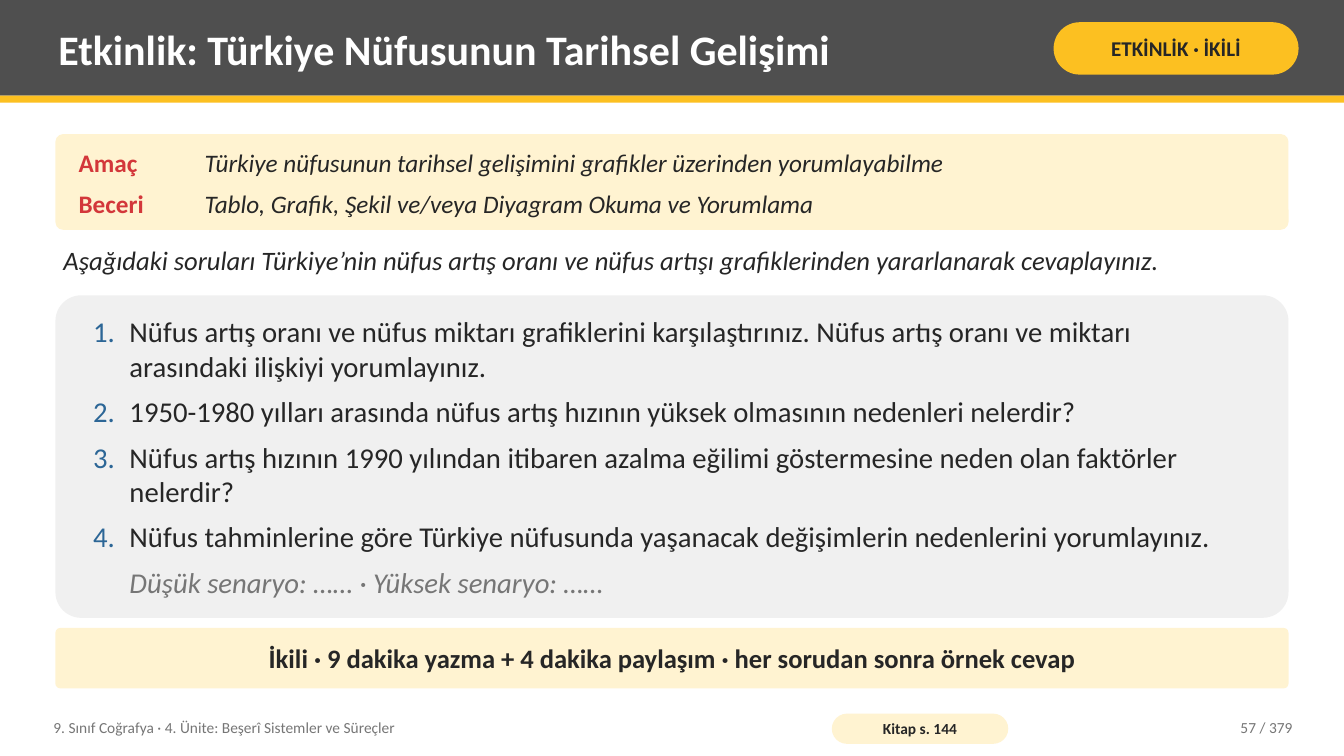
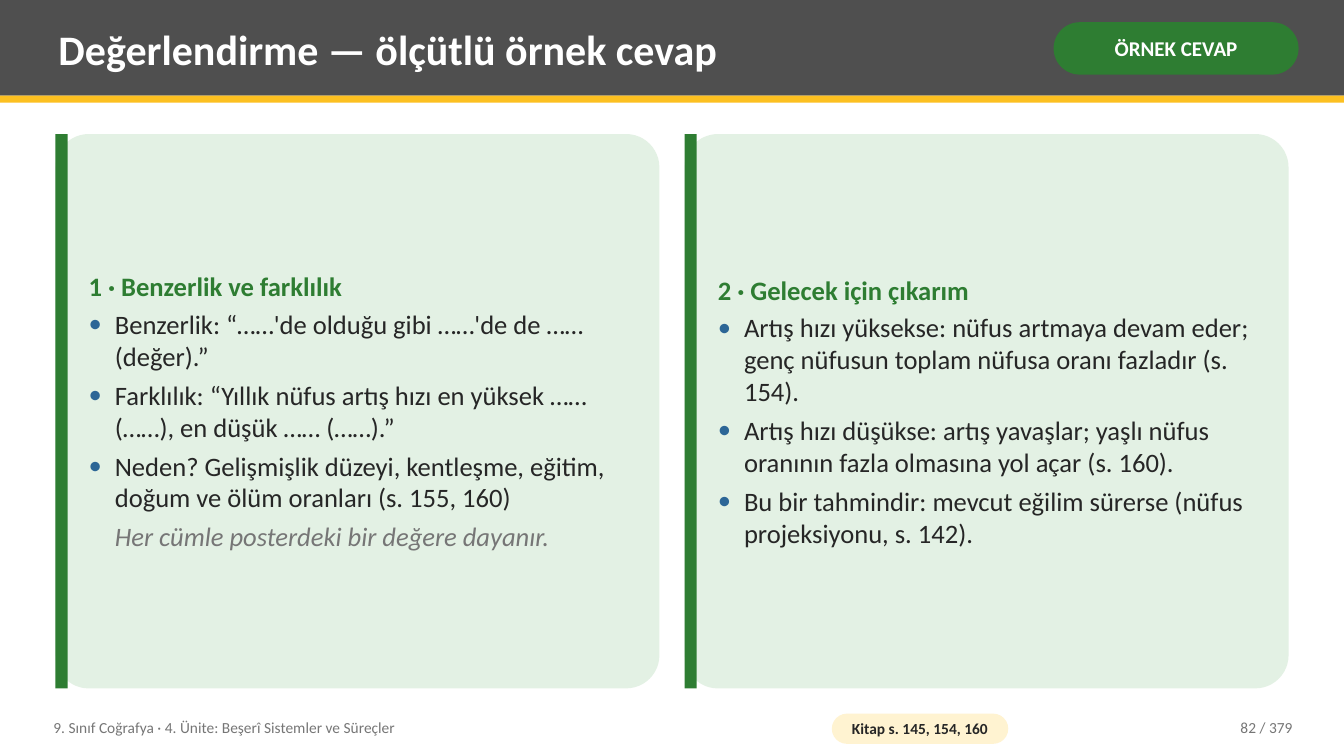
from lxml import etree
from pptx import Presentation
from pptx.dml.color import RGBColor
from pptx.enum.shapes import MSO_SHAPE
from pptx.enum.text import MSO_ANCHOR, PP_ALIGN
from pptx.oxml.ns import qn
from pptx.util import Emu, Pt

RECT = MSO_SHAPE.RECTANGLE
ROUNDED = MSO_SHAPE.ROUNDED_RECTANGLE
MIDDLE = MSO_ANCHOR.MIDDLE
LEFT, CENTER, RIGHT = PP_ALIGN.LEFT, PP_ALIGN.CENTER, PP_ALIGN.RIGHT

EMU_PER_PX = 9144
WIDTH, HEIGHT = 1333, 750
MARGIN = 55
CONTENT_WIDTH = WIDTH - 2 * MARGIN
CONTENT_TOP = 133
CONTENT_BOTTOM = 683
FONT = "Calibri"
COLORS = {
    "header": "4F4F4F",
    "accent": "FCC021",
    "cream": "FFF3D1",
    "panel": "F0F0F0",
    "mint": "E3F1E4",
    "green": "2E7D32",
    "red": "D3373A",
    "blue": "2C6696",
    "ink": "262626",
    "muted": "767676",
    "white": "FFFFFF",
}
TEXT_INSETS = (8, 4, 8, 4)
COURSE = "9. Sınıf Coğrafya · 4. Ünite: Beşerî Sistemler ve Süreçler"
PAGE_COUNT = 379


def px(length):
    return Emu(length * EMU_PER_PX)


def rgb(color):
    return RGBColor.from_string(COLORS[color])


class Deck:
    def __init__(self):
        self.presentation = Presentation()
        self.presentation.slide_width = px(WIDTH)
        self.presentation.slide_height = px(HEIGHT)
        self.slide = None

    def shape(self, area, fill, radius=None):
        kind = RECT if radius is None else ROUNDED
        shape = self.slide.shapes.add_shape(kind, *map(px, area))
        shape.shadow.inherit = False
        shape.fill.solid()
        shape.fill.fore_color.rgb = rgb(fill)
        shape.line.fill.background()
        if radius is not None:
            shape.adjustments[0] = radius
        return shape

    def frame(self, shape, insets):
        frame = shape.text_frame
        left, top, right, bottom = map(px, insets)
        settings = {
            "word_wrap": True,
            "vertical_anchor": MIDDLE,
            "margin_left": left,
            "margin_top": top,
            "margin_right": right,
            "margin_bottom": bottom,
        }
        for name, value in settings.items():
            setattr(frame, name, value)
        return frame

    def text_frame(self, area):
        box = self.slide.shapes.add_textbox(*map(px, area))
        return self.frame(box, TEXT_INSETS)

    def style(self, font, size, color, bold=False, italic=False):
        settings = {"name": FONT, "size": Pt(size), "bold": bold, "italic": italic}
        for name, value in settings.items():
            setattr(font, name, value)
        font.color.rgb = rgb(color)

    def wording(self, paragraph, words, size, color, align=LEFT, **emphasis):
        paragraph.alignment = align
        run = paragraph.add_run()
        run.text = words
        self.style(run.font, size, color, **emphasis)

    def text(self, area, words, size, color, **options):
        frame = self.text_frame(area)
        self.wording(frame.paragraphs[0], words, size, color, **options)

    def label(self, area, fill, words, size, color="ink", radius=0.5, insets=(4, 0, 4, 0)):
        frame = self.frame(self.shape(area, fill, radius), insets)
        self.wording(frame.paragraphs[0], words, size, color, align=CENTER, bold=True)

    def indent(self, paragraph, margin, first_line=0):
        properties = paragraph._p.get_or_add_pPr()
        properties.set("marL", str(px(margin)))
        properties.set("indent", str(px(first_line)))
        return properties

    def items(self, frame, items, hint, size, margin, gap, marker):
        tag, attributes = marker
        for number, words in enumerate(items):
            is_first = number == 0 and not frame.text
            paragraph = frame.paragraphs[0] if is_first else frame.add_paragraph()
            if hint or number < len(items) - 1:
                paragraph.space_after = Pt(gap)
            properties = self.indent(paragraph, margin, -margin)
            color = etree.SubElement(properties, qn("a:buClr"))
            etree.SubElement(color, qn("a:srgbClr"), val=COLORS["blue"])
            etree.SubElement(properties, qn("a:buFont"), typeface=FONT)
            etree.SubElement(properties, qn(tag), **attributes)
            self.style(paragraph.font, size, "blue", bold=True)
            self.wording(paragraph, words, size, "ink")
        if hint:
            paragraph = frame.add_paragraph()
            self.indent(paragraph, margin)
            self.wording(paragraph, hint, size, "muted", italic=True)

    def questions(self, area, questions, hint):
        frame = self.frame(self.shape(area, "panel", 0.08), (30, 8, 30, 8))
        marker = ("a:buAutoNum", {"type": "arabicPeriod"})
        self.items(frame, questions, hint, 20.5, 36, 7.8, marker)

    def answer_card(self, area, heading, points, hint):
        left, top, width, height = area
        self.shape(area, "mint", 0.06)
        self.shape((left, top, 12, height), "green")
        frame = self.text_frame((left + 25, top + 6, width - 35, height - 12))
        title = frame.paragraphs[0]
        title.space_after = Pt(4)
        self.wording(title, heading, 19, "green", bold=True)
        self.items(frame, points, hint, 19, 26, 5, ("a:buChar", {"char": "•"}))

    def add_slide(self, title, tag, tag_fill, tag_color, source, page):
        self.slide = self.presentation.slides.add_slide(self.presentation.slide_layouts[6])
        self.shape((0, 0, WIDTH, 95), "header")
        self.shape((0, 95, WIDTH, 7), "accent")
        self.text((50, 7, 975, 82), title, 30, "white", bold=True)
        self.label((1045, 22, 243, 52), tag_fill, tag, 15, tag_color, insets=(5, 2, 5, 2))
        self.text((45, 704, 760, 36), COURSE, 11, "muted")
        self.label((825, 708, 175, 30), "cream", source, 11)
        self.text((1130, 704, 160, 36), f"{page} / {PAGE_COUNT}", 11, "muted", align=RIGHT)


def add_activity(deck):
    deck.add_slide("Etkinlik: Türkiye Nüfusunun Tarihsel Gelişimi",
                   "ETKİNLİK · İKİLİ", "accent", "ink", "Kitap s. 144", 57)
    deck.shape((MARGIN, CONTENT_TOP, CONTENT_WIDTH, 95), "cream", 0.08)
    goals = [
        (139, 44, "Amaç",
         "Türkiye nüfusunun tarihsel gelişimini grafikler üzerinden yorumlayabilme"),
        (181, 41, "Beceri", "Tablo, Grafik, Şekil ve/veya Diyagram Okuma ve Yorumlama"),
    ]
    for top, height, name, goal in goals:
        deck.text((70, top, 125, height), name, 18, "red", bold=True)
        deck.text((195, top, 1063, height), goal, 18, "ink", italic=True)
    deck.text((MARGIN, 233, CONTENT_WIDTH, 50),
              "Aşağıdaki soruları Türkiye’nin nüfus artış oranı ve nüfus artışı "
              "grafiklerinden yararlanarak cevaplayınız.", 19, "ink", italic=True)
    questions = [
        "Nüfus artış oranı ve nüfus miktarı grafiklerini karşılaştırınız. "
        "Nüfus artış oranı ve miktarı arasındaki ilişkiyi yorumlayınız.",
        "1950-1980 yılları arasında nüfus artış hızının yüksek olmasının nedenleri nelerdir?",
        "Nüfus artış hızının 1990 yılından itibaren azalma eğilimi göstermesine "
        "neden olan faktörler nelerdir?",
        "Nüfus tahminlerine göre Türkiye nüfusunda yaşanacak değişimlerin "
        "nedenlerini yorumlayınız.",
    ]
    deck.questions((MARGIN, 293, CONTENT_WIDTH, 320), questions,
                   "Düşük senaryo: …… · Yüksek senaryo: ……")
    deck.label((MARGIN, 623, CONTENT_WIDTH, 60), "cream",
               "İkili · 9 dakika yazma + 4 dakika paylaşım · her sorudan sonra örnek cevap",
               19, radius=0.08, insets=(14, 8, 14, 8))


def add_sample_answer(deck):
    deck.add_slide("Değerlendirme — ölçütlü örnek cevap",
                   "ÖRNEK CEVAP", "green", "white", "Kitap s. 145, 154, 160", 82)
    answers = [
        ("1 · Benzerlik ve farklılık", [
            "Benzerlik: “……'de olduğu gibi ……'de de …… (değer).”",
            "Farklılık: “Yıllık nüfus artış hızı en yüksek …… (……), en düşük …… (……).”",
            "Neden? Gelişmişlik düzeyi, kentleşme, eğitim, doğum ve ölüm oranları (s. 155, 160)",
        ], "Her cümle posterdeki bir değere dayanır."),
        ("2 · Gelecek için çıkarım", [
            "Artış hızı yüksekse: nüfus artmaya devam eder; "
            "genç nüfusun toplam nüfusa oranı fazladır (s. 154).",
            "Artış hızı düşükse: artış yavaşlar; "
            "yaşlı nüfus oranının fazla olmasına yol açar (s. 160).",
            "Bu bir tahmindir: mevcut eğilim sürerse (nüfus projeksiyonu, s. 142).",
        ], None),
    ]
    gap = 25
    width = (CONTENT_WIDTH - gap) // len(answers)
    for column, answer in enumerate(answers):
        left = MARGIN + column * (width + gap)
        area = (left, CONTENT_TOP, width, CONTENT_BOTTOM - CONTENT_TOP)
        deck.answer_card(area, *answer)


def main():
    deck = Deck()
    add_activity(deck)
    add_sample_answer(deck)
    deck.presentation.save("out.pptx")


if __name__ == "__main__":
    main()
